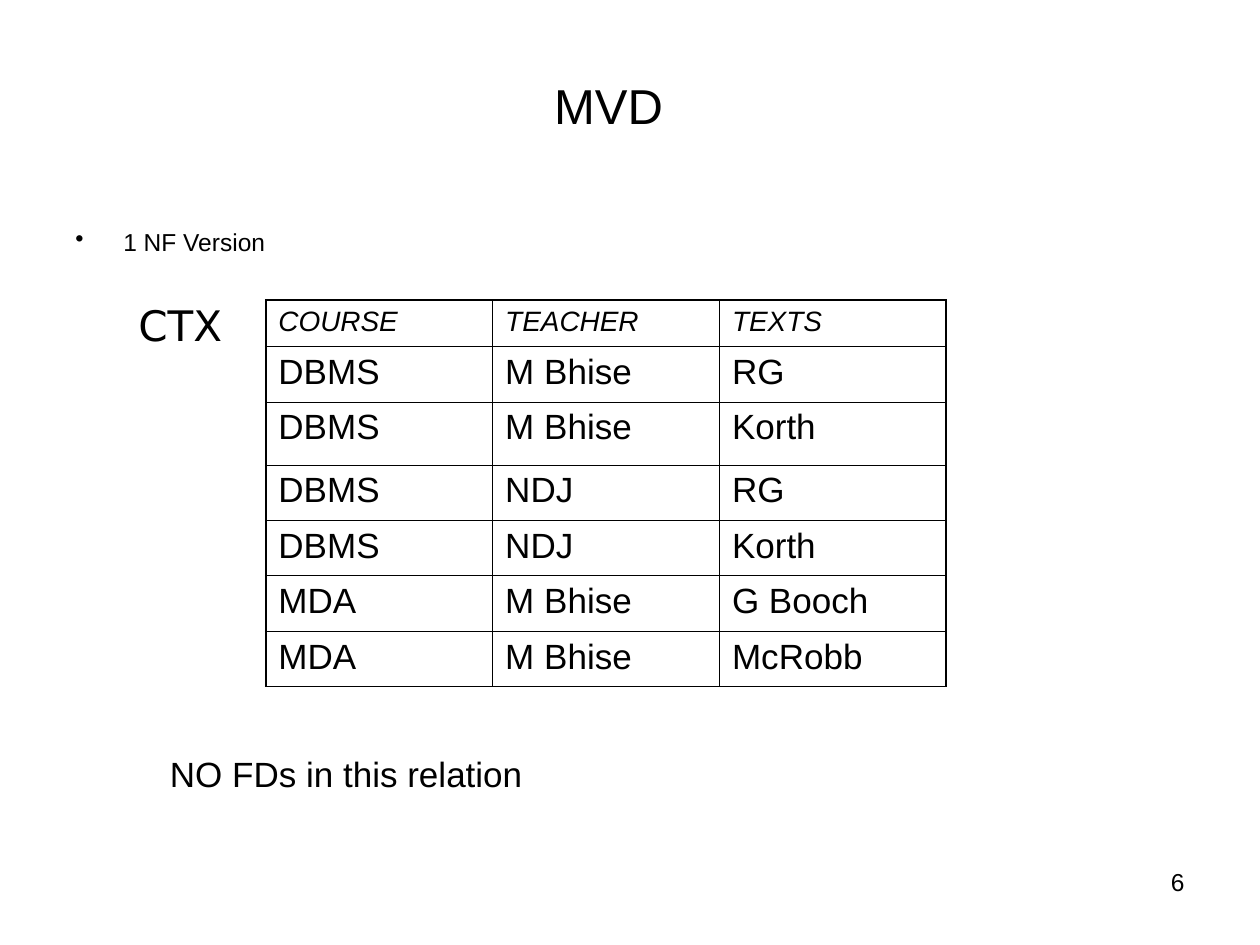
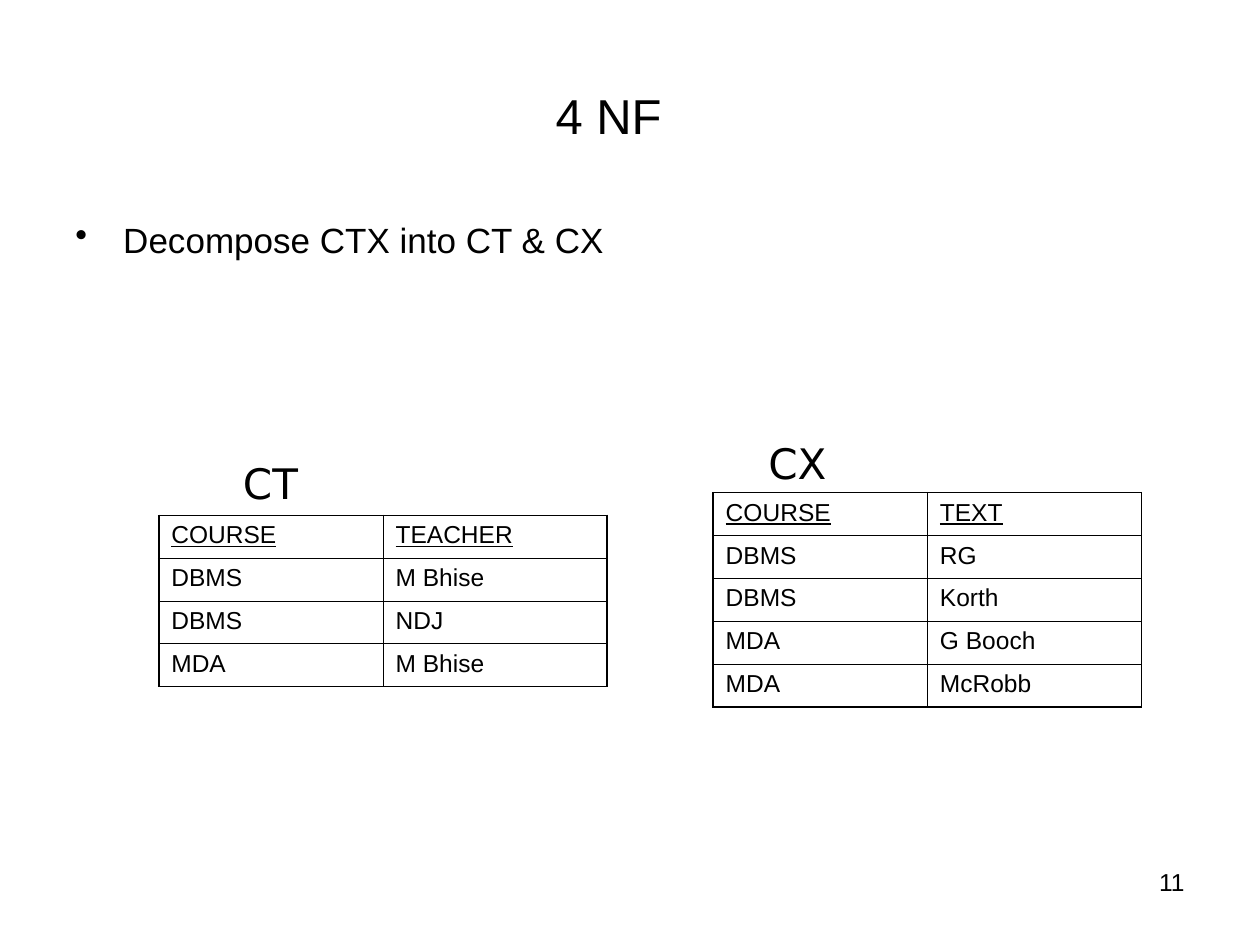
import lxml.etree
import pptx
import pptx.dml.color
import pptx.enum.shapes
import pptx.enum.text
import pptx.oxml.ns
import pptx.util

Inches = pptx.util.Inches
Pt = pptx.util.Pt
ALIGN = pptx.enum.text.PP_ALIGN
ANCHOR = pptx.enum.text.MSO_ANCHOR

INK = "000000"
PAPER = "FFFFFF"
BODY_FONT = "Arial"
LABEL_FONT = "DejaVu Sans"
OUTER_BORDER = 1.08
INNER_BORDER = 0.45


def colour(hex_text):
    return pptx.dml.color.RGBColor.from_string(hex_text)


def add_child(parent, tag, **attributes):
    child = lxml.etree.SubElement(parent, pptx.oxml.ns.qn(tag))
    for name, value in attributes.items():
        child.set(name, str(value))
    return child


def style_font(font, size, name=BODY_FONT):
    font.name = name
    font.size = Pt(size)
    font.color.rgb = colour(INK)


def add_text(page, text, left, top, width, height, size, name=BODY_FONT,
             align=ALIGN.LEFT, anchor=ANCHOR.TOP, bullet=False, line_spacing=None):
    box = page.shapes.add_textbox(Inches(left), Inches(top), Inches(width), Inches(height))
    frame = box.text_frame
    frame.word_wrap = True
    frame.vertical_anchor = anchor
    para = frame.paragraphs[0]
    para.text = text
    para.alignment = align
    if line_spacing:
        para.line_spacing = line_spacing
    if bullet:
        properties = para._p.get_or_add_pPr()
        properties.set("marL", str(Inches(0.38)))
        properties.set("indent", str(-Inches(0.38)))
        add_child(properties, "a:buChar", char="•")
    style_font(para.font, size, name)


def add_page(deck, title, title_top, number):
    """Add a white slide with its title and page number."""
    page = deck.slides.add_slide(deck.slide_layouts[6])
    page.background.fill.solid()
    page.background.fill.fore_color.rgb = colour(PAPER)
    add_text(page, str(number), 7.17, 6.83, 2.33, 0.52, 14, align=ALIGN.RIGHT)
    add_text(page, title, 0.33, title_top, 9, 0.66, 28,
             align=ALIGN.CENTER, anchor=ANCHOR.MIDDLE)
    return page


def set_borders(cell, outer_sides):
    """Draw all four sides, heavier where the cell meets the table edge."""
    cell.fill.background()
    properties = cell._tc.get_or_add_tcPr()
    for index, (side, is_outer) in enumerate(outer_sides.items()):
        width = Pt(OUTER_BORDER if is_outer else INNER_BORDER)
        line = add_child(properties, f"a:ln{side}", w=int(width))
        add_child(add_child(line, "a:solidFill"), "a:srgbClr", val=INK)
        properties.insert(index, line)


def add_relation(page, rows, left, top, column_width, row_heights, header_size, body_size,
                 header_style):
    """Add a ruled table; header_style is the font attribute its first row turns on."""
    row_count, column_count = len(rows), len(rows[0])
    table = page.shapes.add_table(
        row_count, column_count, Inches(left), Inches(top),
        Inches(column_width * column_count), Inches(sum(row_heights))).table
    table.first_row = False
    table.horz_banding = False
    for column in table.columns:
        column.width = Inches(column_width)
    for r, (values, height) in enumerate(zip(rows, row_heights)):
        table.rows[r].height = Inches(height)
        for c, value in enumerate(values):
            cell = table.cell(r, c)
            para = cell.text_frame.paragraphs[0]
            para.text = value
            style_font(para.font, body_size if r else header_size)
            if r == 0:
                setattr(para.font, header_style, True)
            set_borders(cell, {"L": c == 0, "R": c == column_count - 1,
                               "T": r == 0, "B": r == row_count - 1})


def add_relation_name(page, name, left, top):
    add_text(page, name, left, top, 0.92, 0.5, 24, name=LABEL_FONT)


def add_rule(page, left, top, width):
    rule = page.shapes.add_connector(
        pptx.enum.shapes.MSO_CONNECTOR.STRAIGHT,
        Inches(left), Inches(top), Inches(left + width), Inches(top))
    rule.line.color.rgb = colour(INK)
    rule.line.width = Pt(1)
    add_child(rule._element.spPr, "a:effectLst")


def build_mvd_slide(deck):
    page = add_page(deck, "MVD", 0.5, 6)
    add_text(page, "1 NF Version", 0.5, 1.75, 6.68, 0.72, 14, bullet=True)
    ctx = [
        ("COURSE", "TEACHER", "TEXTS"),
        ("DBMS", "M Bhise", "RG"),
        ("DBMS", "M Bhise", "Korth"),
        ("DBMS", "NDJ", "RG"),
        ("DBMS", "NDJ", "Korth"),
        ("MDA", "M Bhise", "G Booch"),
        ("MDA", "M Bhise", "McRobb"),
    ]
    add_relation(page, ctx, 2.11, 2.38, 1.8, [0.37, 0.44, 0.5] + [0.44] * 4, 16, 20, "italic")
    add_rule(page, 2.17, 2.75, 5.33)
    add_relation_name(page, "CTX", 1, 2.33)
    add_text(page, "NO FDs in this relation", 1.25, 5.92, 6.59, 0.67, 20)


def build_4nf_slide(deck):
    page = add_page(deck, "4 NF", 0.58, 11)
    add_text(page, "Decompose CTX into CT & CX", 0.5, 1.75, 8.63, 2.16, 20,
             bullet=True, line_spacing=0.8)
    ct = [
        ("COURSE", "TEACHER"),
        ("DBMS", "M Bhise"),
        ("DBMS", "NDJ"),
        ("MDA", "M Bhise"),
    ]
    cx = [
        ("COURSE", "TEXT"),
        ("DBMS", "RG"),
        ("DBMS", "Korth"),
        ("MDA", "G Booch"),
        ("MDA", "McRobb"),
    ]
    for rows, left, top, column_width in ((ct, 1.26, 4.09, 1.78), (cx, 5.66, 3.91, 1.7)):
        add_relation(page, rows, left, top, column_width, [0.34] * len(rows), 14, 14,
                     "underline")
    add_relation_name(page, "CT", 1.83, 3.58)
    add_relation_name(page, "CX", 6, 3.42)


def main():
    deck = pptx.Presentation()
    deck.slide_width = Inches(10)
    deck.slide_height = Inches(7.5)
    build_mvd_slide(deck)
    build_4nf_slide(deck)
    deck.save("out.pptx")


if __name__ == "__main__":
    main()
